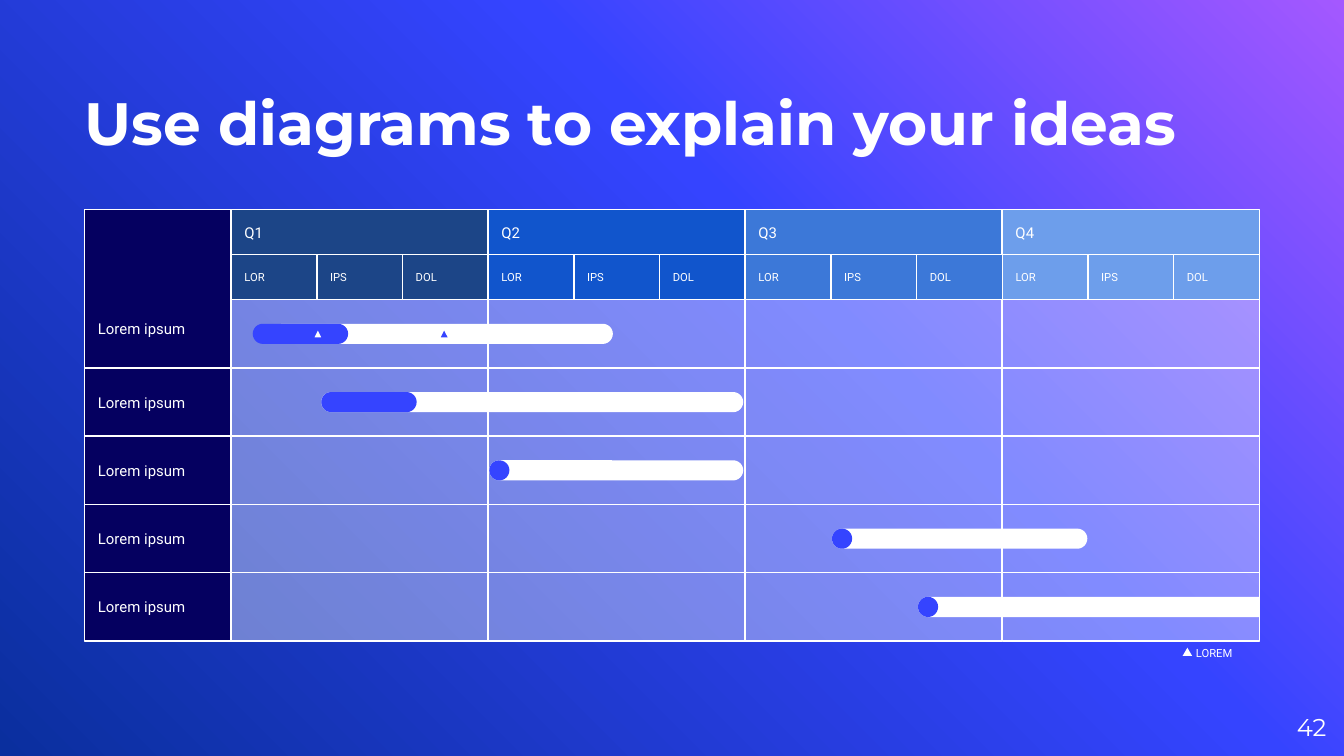
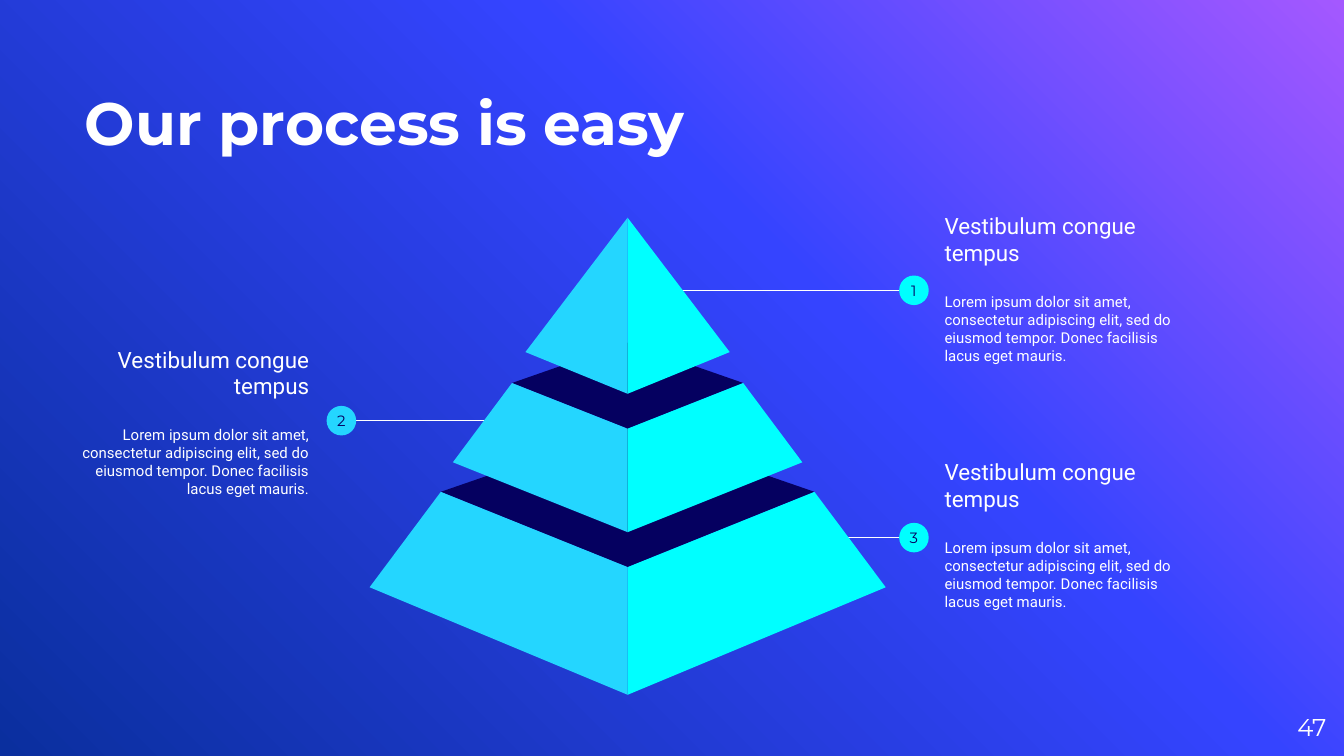
import collections
import copy

import pptx
import pptx.dml.color
import pptx.enum.shapes
import pptx.enum.text
import pptx.oxml
import pptx.oxml.ns
import pptx.util

Inches = pptx.util.Inches
RGBColor = pptx.dml.color.RGBColor
SHAPE = pptx.enum.shapes.MSO_SHAPE
ALIGN = pptx.enum.text.PP_ALIGN
ANCHOR = pptx.enum.text.MSO_ANCHOR
qn = pptx.oxml.ns.qn

WHITE = RGBColor(0xFF, 0xFF, 0xFF)
NAVY = RGBColor(0x05, 0x00, 0x60)
BLUE = RGBColor(0x35, 0x44, 0xFF)
CYAN = RGBColor(0x00, 0xFF, 0xFF)
SKY = RGBColor(0x24, 0xD6, 0xFF)
BACKGROUND_STOPS = [
    (0, RGBColor(0xA4, 0x58, 0xFF)),
    (0.39, BLUE),
    (1, RGBColor(0x0A, 0x2F, 0x9E)),
]
QUARTER_COLORS = [
    RGBColor(0x1C, 0x45, 0x87),
    RGBColor(0x11, 0x55, 0xCC),
    RGBColor(0x3C, 0x78, 0xD8),
    RGBColor(0x6D, 0x9E, 0xEB),
]
HEADING_FONT = "Montserrat"
BODY_FONT = "Roboto"

Box = collections.namedtuple("Box", "left top width height")

MONTHS = ["LOR", "IPS", "DOL"]
TASK = "Lorem ipsum"
# Per task row: start and end of the plan, then of the finished part,
# in inches from the left of the month grid.
TASK_BARS = [
    ((0.31, 2.84), (0.16, 0.87)),
    ((0.67, 3.81), (0.67, 1.38)),
    ((1.92, 3.81), (1.92, 2.07)),
    ((4.47, 6.37), (4.47, 4.62)),
    ((5.11, 7.65), (5.11, 5.26)),
]
BAR_HEIGHT = 0.15

CALLOUT_HEADING = "Vestibulum congue tempus"
CALLOUT_BODY = ("Lorem ipsum dolor sit amet, consectetur adipiscing elit, sed do "
                "eiusmod tempor. Donec facilisis lacus eget mauris.")
# Tiers from the base up: right-hand face and the lid's back corner,
# in hundredths of an inch from the apex.
PYRAMID_TIERS = [
    ([(0, 260), (139, 204), (192, 275), (0, 355)], 156),
    ([(0, 157), (86, 123), (130, 182), (0, 234)], 93),
    ([(0, 0), (76, 100), (0, 131)], None),
]


def place(box):
    return [Inches(length) for length in box]


def format_paragraph(para, size, font=BODY_FONT, color=WHITE, align=ALIGN.LEFT, bold=False):
    para.alignment = align
    para.font.size = pptx.util.Pt(size)
    para.font.name = font
    para.font.bold = bold
    para.font.color.rgb = color


def prepare_frame(frame, anchor=ANCHOR.MIDDLE, margin=0.1):
    frame.word_wrap = True
    frame.auto_size = pptx.enum.text.MSO_AUTO_SIZE.NONE
    frame.vertical_anchor = anchor
    frame.margin_left = frame.margin_right = Inches(margin)
    frame.margin_top = frame.margin_bottom = Inches(margin)


def write(frame, text, size, anchor=ANCHOR.MIDDLE, margin=0.1, **style):
    prepare_frame(frame, anchor, margin)
    frame.text = text
    format_paragraph(frame.paragraphs[0], size, **style)


def paint(shape, fill, outline=None):
    shape.shadow.inherit = False
    shape.fill.solid()
    shape.fill.fore_color.rgb = fill
    if outline is None:
        shape.line.fill.background()
    else:
        shape.line.color.rgb = outline
        shape.line.width = pptx.util.Pt(0.75)


def add_solid(shapes, kind, box, fill, outline=None):
    shape = shapes.add_shape(kind, *place(box))
    paint(shape, fill, outline)
    return shape


def set_opacity(shape, percent):
    color = shape.element.find(".//" + qn("a:srgbClr"))
    alpha = pptx.oxml.parse_xml(
        '<a:alpha xmlns:a="http://schemas.openxmlformats.org/drawingml/2006/main"/>')
    alpha.set("val", str(percent * 1000))
    color.append(alpha)


def set_background(master):
    fill = master.background.fill
    fill.gradient()
    fill.gradient_angle = 225
    stop_list = master.element.find(".//" + qn("a:gsLst"))
    stop_list.append(copy.deepcopy(stop_list[-1]))
    for stop, (position, color) in zip(fill.gradient_stops, BACKGROUND_STOPS):
        stop.position = position
        stop.color.rgb = color


def add_page(deck, title, title_width, number):
    page = deck.slides.add_slide(deck.slide_layouts[5])
    heading = page.shapes.title
    heading.left, heading.top, heading.width, heading.height = place(
        Box(0.63, 0.23, title_width, 0.94))
    write(heading.text_frame, title, 32, ANCHOR.BOTTOM, 0, font=HEADING_FONT, bold=True)
    footer = page.shapes.add_textbox(*place(Box(9.27, 5.19, 0.6, 0.43)))
    write(footer.text_frame, number, 13, margin=0, font=HEADING_FONT, align=ALIGN.RIGHT)
    return page


def add_cell(page, box, fill, text=None, size=8):
    cell = add_solid(page.shapes, SHAPE.RECTANGLE, box, fill, WHITE)
    if text:
        write(cell.text_frame, text, size)
    return cell


def add_quarters(page, box, header_height, row_height):
    """Draw each quarter's heading, months and translucent task cells."""
    quarter_width = box.width / len(QUARTER_COLORS)
    month_width = quarter_width / len(MONTHS)
    for quarter, color in enumerate(QUARTER_COLORS):
        left = box.left + quarter * quarter_width
        for row in range(len(TASK_BARS)):
            top = box.top + 2 * header_height + row * row_height
            cell = add_cell(page, Box(left, top, quarter_width, row_height), WHITE)
            set_opacity(cell, 38)
        add_cell(page, Box(left, box.top, quarter_width, header_height),
                 color, f"Q{quarter + 1}")
        for month, name in enumerate(MONTHS):
            add_cell(page, Box(left + month * month_width, box.top + header_height,
                               month_width, header_height), color, name, 6)


def add_task_labels(page, box, first_height):
    """Draw the label column; its first cell also spans the header rows."""
    first = add_cell(page, box._replace(height=first_height), NAVY, TASK)
    first.text_frame.vertical_anchor = ANCHOR.BOTTOM
    first.text_frame.margin_bottom = Inches(0.23)
    count = len(TASK_BARS) - 1
    height = (box.height - first_height) / count
    for row in range(count):
        top = box.top + first_height + row * height
        add_cell(page, Box(box.left, top, box.width, height), NAVY, TASK)


def add_bar(page, start, end, middle, color, open_ended=False):
    """Draw a horizontal bar with round ends, or a square right end."""
    length = end - start
    box = Box((start + end - BAR_HEIGHT) / 2, middle - length / 2, BAR_HEIGHT, length)
    bar = add_solid(page.shapes, SHAPE.ROUND_2_SAME_RECTANGLE, box, color)
    bar.rotation = 90
    bar.adjustments[0] = 0 if open_ended else 0.5
    bar.adjustments[1] = 0.5


def add_task_bars(page, box):
    row_height = box.height / len(TASK_BARS)
    for row, (plan, done) in enumerate(TASK_BARS):
        middle = box.top + (row + 0.5) * row_height
        is_last = row == len(TASK_BARS) - 1
        add_bar(page, box.left + plan[0], box.left + plan[1], middle, WHITE, is_last)
        add_bar(page, box.left + done[0], box.left + done[1], middle, BLUE)
    for offset, color in [(0.62, WHITE), (1.56, BLUE)]:
        add_solid(page.shapes, SHAPE.ISOSCELES_TRIANGLE,
                  Box(box.left + offset, box.top + 0.23, 0.05, 0.05), color)


def add_legend(page, box):
    label = page.shapes.add_textbox(*place(box))
    write(label.text_frame, "LOREM", 6)
    add_solid(page.shapes, SHAPE.ISOSCELES_TRIANGLE,
              Box(box.left, box.top + 0.02, 0.07, 0.06), WHITE)


def add_gantt(page, box):
    label_width, body_height = 1.09, 2.54
    header_height = (box.height - body_height) / 2
    row_height = body_height / len(TASK_BARS)
    grid = Box(box.left + label_width, box.top, box.width - label_width, box.height)
    add_quarters(page, grid, header_height, row_height)
    add_task_labels(page, box._replace(width=label_width), 2 * header_height + row_height)
    add_task_bars(page, grid._replace(top=box.top + 2 * header_height, height=body_height))
    add_legend(page, Box(box.left + box.width - 0.57, box.top + box.height + 0.03, 0.56, 0.11))


def add_callout(page, box, number, dot_y, edge_x, color, on_left=False):
    """Place a text box with a numbered dot and a line to the pyramid's edge."""
    align = ALIGN.RIGHT if on_left else ALIGN.LEFT
    dot_x = box.left + box.width + 0.14 if on_left else box.left - 0.13
    radius = 0.11
    shapes = page.shapes.add_group_shape().shapes

    line = shapes.add_connector(
        pptx.enum.shapes.MSO_CONNECTOR.STRAIGHT, Inches(edge_x), Inches(dot_y),
        Inches(dot_x + (-0.04 if on_left else 0.09)), Inches(dot_y))
    line.line.color.rgb = WHITE
    line.line.width = pptx.util.Pt(0.75)
    line.element.spPr.append(pptx.oxml.parse_xml(
        '<a:effectLst xmlns:a="http://schemas.openxmlformats.org/drawingml/2006/main"/>'))

    dot = add_solid(shapes, SHAPE.OVAL,
                    Box(dot_x - radius, dot_y - radius, 2 * radius, 2 * radius), color)
    write(dot.text_frame, number, 8, margin=0, font=HEADING_FONT, color=NAVY,
          align=ALIGN.CENTER)

    frame = shapes.add_textbox(*place(box)).text_frame
    write(frame, CALLOUT_HEADING, 12, align=align)
    frame.paragraphs[0].space_after = pptx.util.Pt(14)
    body = frame.add_paragraph()
    body.text = CALLOUT_BODY
    format_paragraph(body, 8, align=align)


def add_polygon(shapes, points, apex_x, apex_y, color):
    builder = shapes.build_freeform(*points[0], scale=Inches(0.01))
    builder.add_line_segments(points[1:], close=True)
    paint(builder.convert_to_shape(Inches(apex_x), Inches(apex_y)), color)


def add_pyramid(page, apex_x, apex_y):
    shapes = page.shapes.add_group_shape().shapes
    for face, lid_back in PYRAMID_TIERS:
        if lid_back is not None:
            front, (corner_x, corner_y) = face[:2]
            lid = [(-corner_x, corner_y), front, (corner_x, corner_y), (0, lid_back)]
            add_polygon(shapes, lid, apex_x, apex_y, NAVY)
        for side, color in [(-1, SKY), (1, CYAN)]:
            half = [(side * x, y) for x, y in face]
            add_polygon(shapes, half, apex_x, apex_y, color)


def main():
    deck = pptx.Presentation()
    deck.slide_width = Inches(10)
    deck.slide_height = Inches(10 * 9 / 16)
    set_background(deck.slide_master)

    gantt_page = add_page(deck, "Use diagrams to explain your ideas", 8.74, "42")
    add_gantt(gantt_page, Box(0.63, 1.56, 8.74, 3.21))

    process_page = add_page(deck, "Our process is easy", 6.58, "47")
    add_callout(process_page, Box(6.93, 3.22, 2.04, 1.51), "3", 4, 6.27, CYAN)
    add_callout(process_page, Box(0.36, 2.38, 2.04, 1.51), "2", 3.13, 3.64, SKY, on_left=True)
    add_callout(process_page, Box(6.93, 1.39, 2.04, 1.51), "1", 2.16, 5.03, CYAN)
    add_pyramid(process_page, 4.67, 1.62)

    deck.save("out.pptx")


if __name__ == "__main__":
    main()
